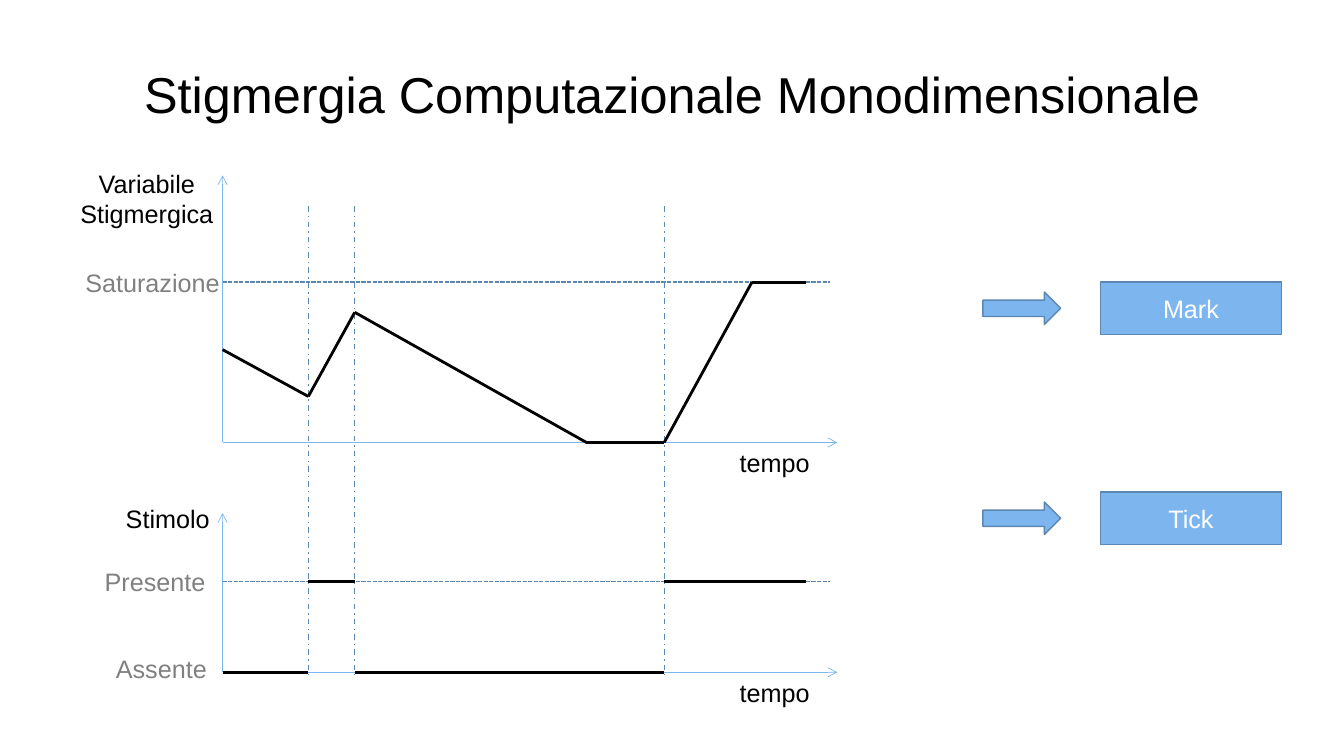
from itertools import pairwise
from typing import NamedTuple

from pptx import Presentation
from pptx.dml.color import RGBColor
from pptx.enum.dml import MSO_LINE
from pptx.enum.shapes import MSO_CONNECTOR, MSO_SHAPE
from pptx.enum.text import MSO_ANCHOR, MSO_AUTO_SIZE, PP_ALIGN
from pptx.oxml.ns import qn
from pptx.oxml.xmlchemy import OxmlElement
from pptx.util import Cm, Pt

BLACK = RGBColor(0x00, 0x00, 0x00)
GRAY = RGBColor(0x80, 0x80, 0x80)
WHITE = RGBColor(0xFF, 0xFF, 0xFF)
SKY = RGBColor(0x7D, 0xB6, 0xEF)
STEEL = RGBColor(0x5C, 0x87, 0xB1)
FONT = "Arial"
LEFT, CENTER = PP_ALIGN.LEFT, PP_ALIGN.CENTER
MIDDLE = MSO_ANCHOR.MIDDLE
NO_FIT, GROW = MSO_AUTO_SIZE.NONE, MSO_AUTO_SIZE.SHAPE_TO_FIT_TEXT
STRAIGHT = MSO_CONNECTOR.STRAIGHT
RECT, ARROW = MSO_SHAPE.RECTANGLE, MSO_SHAPE.RIGHT_ARROW
DASH, DASH_DOT = MSO_LINE.SQUARE_DOT, MSO_LINE.DASH_DOT


class Point(NamedTuple):
    x: float
    y: float


class Pen(NamedTuple):
    color: RGBColor
    width: float
    dash: MSO_LINE | None = None
    arrow: bool = False


class Label(NamedTuple):
    text: str
    x: float
    y: float
    width: float
    height: float = 1.02
    color: RGBColor = BLACK
    align: PP_ALIGN = LEFT


AXIS = Pen(SKY, 0.5, arrow=True)
LEVEL = Pen(STEEL, 1, DASH)
EVENT = Pen(STEEL, 1, DASH_DOT)
CURVE = Pen(BLACK, 2)

# Times (x) and levels (y) in centimetres
START, ON, OFF, EMPTY, AGAIN, FULL, STOP = 5.61, 7.77, 8.94, 14.78, 16.74, 18.95, 20.32
LEVEL_END, AXIS_END = 20.92, 21.1
SATURATED, ZERO = 7.11, 11.15
PRESENT, ABSENT = 14.66, 16.94

prs = Presentation()
prs.slide_width, prs.slide_height = Cm(33.87), Cm(19.05)
slide = prs.slides.add_slide(prs.slide_layouts[5])
shapes = slide.shapes


def style(frame, size: float, color: RGBColor, align: PP_ALIGN) -> None:
    for para in frame.paragraphs:
        para.alignment = align
        for run in para.runs:
            run.font.name = FONT
            run.font.size = Pt(size)
            run.font.color.rgb = color


def draw_path(pen: Pen, *points: Point) -> None:
    for start, end in pairwise(points):
        line = shapes.add_connector(STRAIGHT, *map(Cm, (*start, *end)))
        line.line.color.rgb = pen.color
        line.line.width = Pt(pen.width)
        if pen.dash is not None:
            line.line.dash_style = pen.dash
        props = line._element.spPr
        if pen.arrow:
            tail = OxmlElement("a:tailEnd")
            tail.set("type", "arrow")
            props.find(qn("a:ln")).append(tail)
        props.append(OxmlElement("a:effectLst"))


def draw_label(label: Label) -> None:
    box = shapes.add_textbox(Cm(label.x), Cm(label.y), Cm(label.width), Cm(label.height))
    frame = box.text_frame
    frame.word_wrap = True
    frame.auto_size = GROW
    frame.text = label.text
    style(frame, 18, label.color, label.align)


def draw_block(kind: MSO_SHAPE, x: float, y: float, width: float, height: float,
               text: str = "") -> None:
    block = shapes.add_shape(kind, Cm(x), Cm(y), Cm(width), Cm(height))
    block.shadow.inherit = False
    block.fill.solid()
    block.fill.fore_color.rgb = SKY
    block.line.color.rgb = STEEL
    block.line.width = Pt(1)
    if text:
        frame = block.text_frame
        frame.text = text
        frame.vertical_anchor = MIDDLE
        style(frame, 18, WHITE, CENTER)


# Title
title = shapes.title
title.left, title.top, title.width, title.height = Cm(1.7), Cm(0.76), Cm(30.48), Cm(3.18)
title.text_frame.text = "Stigmergia Computazionale Monodimensionale"
title.text_frame.vertical_anchor = MIDDLE
title.text_frame.auto_size = NO_FIT
style(title.text_frame, 36, BLACK, CENTER)

# Axes and dashed levels of both graphs
for top, base, level in ((4.42, ZERO, SATURATED), (12.93, ABSENT, PRESENT)):
    draw_path(AXIS, Point(START, base), Point(START, top))
    draw_path(AXIS, Point(START, base), Point(AXIS_END, base))
    draw_path(LEVEL, Point(START, level), Point(LEVEL_END, level))
    draw_label(Label("tempo", 18.39, base, 2.69))

# Axis and level names
for label in (
    Label("Variabile Stigmergica", 1.45, 4.11, 4.5, 1.8, align=CENTER),
    Label("Saturazione", 1.9, 6.6, 4.06, color=GRAY),
    Label("Stimolo", 2.92, 12.55, 3.78),
    Label("Presente", 2.39, 14.15, 3.78, color=GRAY),
    Label("Assente", 2.67, 16.33, 3.78, color=GRAY),
):
    draw_label(label)

# Changes of the stimulus
for time in (ON, OFF, AGAIN):
    draw_path(EVENT, Point(time, 5.2), Point(time, 17.02))

# Stigmergic variable
draw_path(CURVE, Point(START, 8.81), Point(ON, 9.99), Point(OFF, 7.87),
          Point(EMPTY, ZERO), Point(AGAIN, ZERO),
          Point(FULL, SATURATED), Point(STOP, SATURATED))

# Stimulus
for start, end, level in ((START, ON, ABSENT), (ON, OFF, PRESENT),
                          (OFF, AGAIN, ABSENT), (AGAIN, STOP, PRESENT)):
    draw_path(CURVE, Point(start, level), Point(end, level))

# Operations
for name, top in (("Mark", 7.11), ("Tick", 12.4)):
    draw_block(RECT, 27.74, top, 4.55, 1.32, name)
    draw_block(ARROW, 24.77, top + 0.25, 1.96, 0.82)

prs.save("out.pptx")
